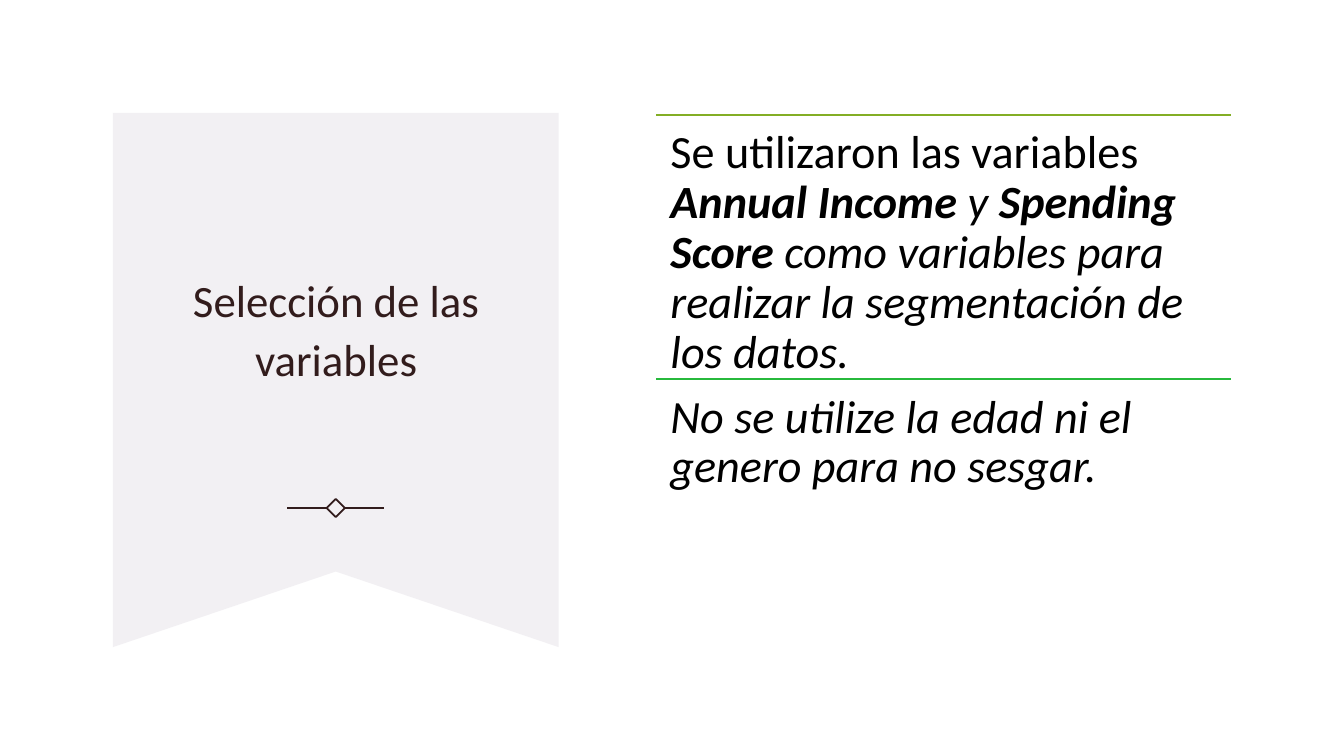
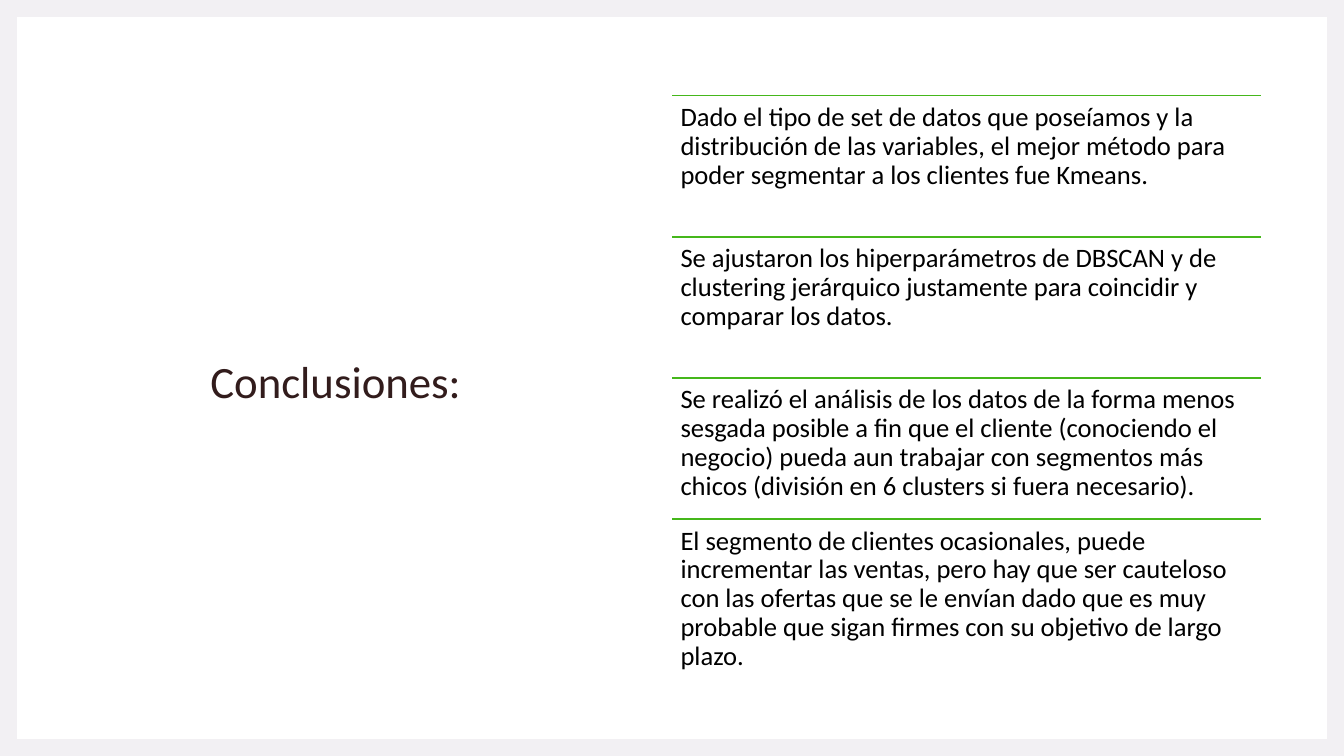
"""Build two slides: a ribbon title with ruled notes, and the conclusions."""
from dataclasses import dataclass

from lxml import etree
from pptx import Presentation
from pptx.dml.color import RGBColor
from pptx.enum.shapes import MSO_CONNECTOR, MSO_SHAPE
from pptx.enum.text import MSO_ANCHOR, MSO_AUTO_SIZE, PP_ALIGN
from pptx.oxml.ns import qn
from pptx.presentation import Presentation as Deck
from pptx.slide import Slide
from pptx.text.text import TextFrame
from pptx.util import Inches, Pt

STRAIGHT = MSO_CONNECTOR.STRAIGHT
RECTANGLE = MSO_SHAPE.RECTANGLE
DIAMOND = MSO_SHAPE.DIAMOND
TOP = MSO_ANCHOR.TOP
MIDDLE = MSO_ANCHOR.MIDDLE
NO_AUTOFIT = MSO_AUTO_SIZE.NONE
LEFT = PP_ALIGN.LEFT
CENTER = PP_ALIGN.CENTER

FONT = "Calibri"
WHITE, BLACK, MIST, BROWN = "FFFFFF", "000000", "F2F0F3", "321C1C"
OLIVE, EMERALD, GREEN = "83AE25", "27B93C", "45B71B"
SLIDE_WIDTH, SLIDE_HEIGHT = 13.33, 7.5
TITLE_ONLY = 5
TITLE_SIZE = 32


@dataclass(frozen=True)
class Box:
    """A rectangle in inches."""

    left: float
    top: float
    width: float
    height: float


@dataclass(frozen=True)
class Span:
    """A stretch of text in one style."""

    text: str
    bold: bool = False
    italic: bool = False


@dataclass(frozen=True)
class Note:
    """A ruled entry of a list."""

    spans: tuple[Span, ...]
    rule_color: str


SELECTION_NOTES = (
    Note(
        (
            Span("Se utilizaron las variables "),
            Span("Annual Income ", bold=True, italic=True),
            Span("y ", italic=True),
            Span("Spending Score", bold=True, italic=True),
            Span(" como variables para realizar la segmentación de los datos.", italic=True),
        ),
        OLIVE,
    ),
    Note((Span("No se utilize la edad ni el genero para no sesgar.", italic=True),), EMERALD),
)

CONCLUSIONS = (
    "Dado el tipo de set de datos que poseíamos y la distribución de las variables, "
    "el mejor método para poder segmentar a los clientes fue Kmeans.",
    "Se ajustaron los hiperparámetros de DBSCAN y de clustering jerárquico justamente "
    "para coincidir y comparar los datos.",
    "Se realizó el análisis de los datos de la forma menos sesgada posible a fin que el "
    "cliente (conociendo el negocio) pueda aun trabajar con segmentos más chicos "
    "(división en 6 clusters si fuera necesario).",
    "El segmento de clientes ocasionales, puede incrementar las ventas, pero hay que ser "
    "cauteloso con las ofertas que se le envían dado que es muy probable que sigan firmes "
    "con su objetivo de largo plazo.",
)


def rgb(color: str) -> RGBColor:
    """Turn a hex string into a colour."""
    return RGBColor.from_string(color)


def write_text(
    frame: TextFrame,
    spans: tuple[Span, ...],
    *,
    size: float,
    color: str = BLACK,
    align: PP_ALIGN = LEFT,
    anchor: MSO_ANCHOR = TOP,
    spacing: float = 0.9,
    inset: float = 0.1,
) -> None:
    """Fill a text frame with one formatted paragraph."""
    frame.word_wrap = True
    frame.auto_size = NO_AUTOFIT
    frame.vertical_anchor = anchor
    frame.margin_left = frame.margin_right = Inches(inset)
    frame.margin_top = frame.margin_bottom = Inches(inset)
    paragraph = frame.paragraphs[0]
    paragraph.alignment = align
    paragraph.line_spacing = spacing
    for span in spans:
        run = paragraph.add_run()
        run.text = span.text
        run.font.name = FONT
        run.font.size = Pt(size)
        run.font.bold = span.bold
        run.font.italic = span.italic
        run.font.color.rgb = rgb(color)


def add_slide(presentation: Deck, background: str) -> Slide:
    """Add a title-only slide with a plain background."""
    slide = presentation.slides.add_slide(presentation.slide_layouts[TITLE_ONLY])
    slide.background.fill.solid()
    slide.background.fill.fore_color.rgb = rgb(background)
    return slide


def set_title(slide: Slide, text: str, box: Box) -> None:
    """Place the title in front of the shapes drawn so far."""
    title = slide.shapes.title
    title.left, title.top = Inches(box.left), Inches(box.top)
    title.width, title.height = Inches(box.width), Inches(box.height)
    write_text(
        title.text_frame, (Span(text),), size=TITLE_SIZE, color=BROWN,
        align=CENTER, anchor=MIDDLE, spacing=1.1,
    )
    slide.shapes.element.append(title.element)


def add_rule(
    slide: Slide, left: float, top: float, width: float, *, color: str, weight: float = 1
) -> None:
    """Draw a horizontal line."""
    rule = slide.shapes.add_connector(
        STRAIGHT, Inches(left), Inches(top), Inches(left + width), Inches(top)
    )
    rule.line.color.rgb = rgb(color)
    rule.line.width = Pt(weight)
    etree.SubElement(rule.element.spPr, qn("a:effectLst"))


def add_panel(slide: Slide, margin: float) -> None:
    """Draw a white panel that leaves an even frame around it."""
    panel = slide.shapes.add_shape(
        RECTANGLE, Inches(margin), Inches(margin),
        Inches(SLIDE_WIDTH - 2 * margin), Inches(SLIDE_HEIGHT - 2 * margin),
    )
    panel.shadow.inherit = False
    panel.fill.solid()
    panel.fill.fore_color.rgb = rgb(WHITE)
    panel.line.fill.background()


def add_ribbon(slide: Slide, box: Box, notch: float) -> None:
    """Draw a hanging ribbon with a notch in its lower edge."""
    right, bottom = box.left + box.width, box.top + box.height
    corners = (
        (right, box.top),
        (right, bottom),
        (box.left + box.width / 2, bottom - notch),
        (box.left, bottom),
    )
    builder = slide.shapes.build_freeform(Inches(box.left), Inches(box.top))
    builder.add_line_segments([(Inches(x), Inches(y)) for x, y in corners], close=True)
    ribbon = builder.convert_to_shape()
    ribbon.shadow.inherit = False
    ribbon.fill.solid()
    ribbon.fill.fore_color.rgb = rgb(MIST)
    ribbon.line.fill.background()


def add_ornament(slide: Slide, center: float, middle: float) -> None:
    """Draw a small diamond between two short lines."""
    diamond_size, line_length, weight = 0.18, 0.39, 1.25
    half = diamond_size / 2
    diamond = slide.shapes.add_shape(
        DIAMOND, Inches(center - half), Inches(middle - half),
        Inches(diamond_size), Inches(diamond_size),
    )
    diamond.shadow.inherit = False
    diamond.fill.background()
    diamond.line.color.rgb = rgb(BROWN)
    diamond.line.width = Pt(weight)
    for left in (center - half - line_length, center + half):
        add_rule(slide, left, middle, line_length, color=BROWN, weight=weight)


def add_notes(
    slide: Slide, notes: tuple[Note, ...], first: Box, *, size: float, inset: float
) -> None:
    """Stack ruled notes downwards from the first box."""
    for index, note in enumerate(notes):
        top = first.top + index * first.height
        add_rule(slide, first.left, top, first.width, color=note.rule_color)
        text_box = slide.shapes.add_textbox(
            Inches(first.left), Inches(top), Inches(first.width), Inches(first.height)
        )
        write_text(text_box.text_frame, note.spans, size=size, inset=inset)


def build_selection(presentation: Deck) -> None:
    """Build the slide on the selected variables."""
    slide = add_slide(presentation, WHITE)
    ribbon = Box(1.12, 1.12, 4.42, 5.3)
    add_ribbon(slide, ribbon, notch=0.75)
    set_title(slide, "Selección de las variables", Box(1.56, 1.81, 3.55, 2.85))
    add_ornament(slide, ribbon.left + ribbon.width / 2, 5.04)
    add_notes(slide, SELECTION_NOTES, Box(6.51, 1.14, 5.7, 2.62), size=33, inset=0.14)


def build_conclusions(presentation: Deck) -> None:
    """Build the slide with the conclusions."""
    slide = add_slide(presentation, MIST)
    add_panel(slide, margin=0.17)
    set_title(slide, "Conclusiones:", Box(1.12, 1.12, 4.42, 5.25))
    notes = tuple(Note((Span(text),), GREEN) for text in CONCLUSIONS)
    add_notes(slide, notes, Box(6.67, 0.95, 5.84, 1.4), size=19, inset=0.08)


def main() -> None:
    """Build and save the presentation."""
    presentation = Presentation()
    presentation.slide_width = Inches(SLIDE_WIDTH)
    presentation.slide_height = Inches(SLIDE_HEIGHT)
    build_selection(presentation)
    build_conclusions(presentation)
    presentation.save("out.pptx")


if __name__ == "__main__":
    main()
